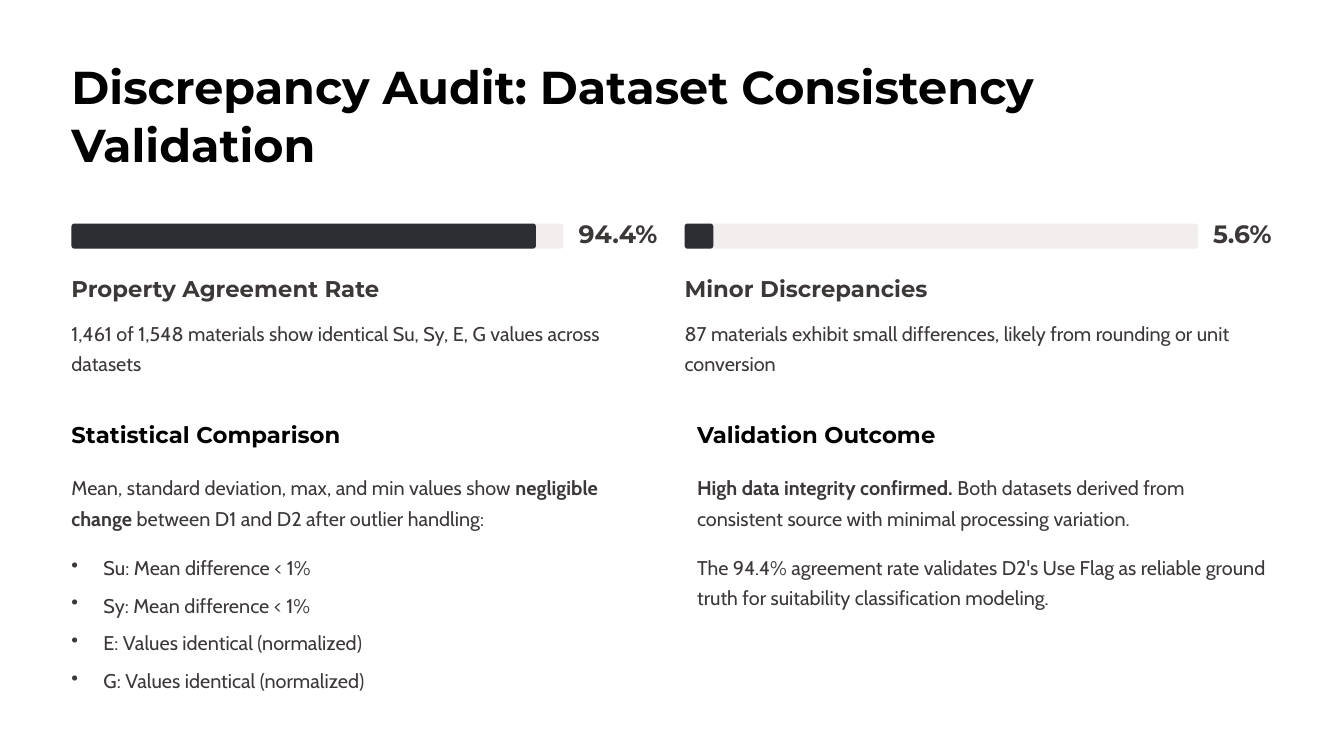
from dataclasses import dataclass

from lxml.etree import SubElement
from pptx import Presentation
from pptx.dml.color import RGBColor
from pptx.enum.shapes import MSO_SHAPE
from pptx.oxml.ns import qn
from pptx.slide import Slide
from pptx.util import Cm, Pt


@dataclass(frozen=True)
class TextStyle:
    font: str
    size: float
    line_spacing: float
    color: str
    bold: bool = False


@dataclass(frozen=True)
class Theme:
    background: str = "FFFFFF"
    track: str = "F2EEEE"
    bar: str = "2D2E34"
    title: TextStyle = TextStyle("Montserrat", 39.5, 49.5, "000000", True)
    percent: TextStyle = TextStyle("Montserrat", 21.5, 21.5, "3D3838", True)
    metric: TextStyle = TextStyle("Montserrat", 19.5, 24.5, "3D3838", True)
    section: TextStyle = TextStyle("Montserrat", 19.5, 24.5, "000000", True)
    body: TextStyle = TextStyle("Cabin", 17, 26, "3D3838")


@dataclass(frozen=True)
class Metric:
    left: float
    percent: float
    label_width: float
    heading: str
    heading_width: float
    description: str


@dataclass(frozen=True)
class Section:
    left: float
    heading: str
    heading_width: float
    introduction: str


THEME = Theme()

# Layout in centimetres
MARGIN = 2.16
METRIC_WIDTH = 17.78
SECTION_WIDTH = 17.4
BAR_TOP, BAR_HEIGHT, LABEL_GAP = 6.76, 0.76, 0.46
HEADING_HEIGHT, BODY_HEIGHT = 0.89, 1.85
SECTION_TOP, INTRODUCTION_TOP, DETAIL_TOP = 12.7, 14.2, 16.61
BULLET_INDENT = 0.97

METRICS = [
    Metric(MARGIN, 94.4, 2.44, "Property Agreement Rate", 9.45,
           "1,461 of 1,548 materials show identical Su, Sy, E, G values across datasets"),
    Metric(20.7, 5.6, 1.8, "Minor Discrepancies", 7.47,
           "87 materials exhibit small differences, likely from rounding or unit conversion"),
]

# Double asterisks enclose bold words
STATISTICS = Section(
    MARGIN, "Statistical Comparison", 8.26,
    "Mean, standard deviation, max, and min values show **negligible change** "
    "between D1 and D2 after outlier handling:")
OUTCOME = Section(
    21.08, "Validation Outcome", 7.34,
    "**High data integrity confirmed.** Both datasets derived from consistent source "
    "with minimal processing variation.")
DIFFERENCES = [
    "Su: Mean difference < 1%",
    "Sy: Mean difference < 1%",
    "E: Values identical (normalized)",
    "G: Values identical (normalized)",
]
CONCLUSION = ("The 94.4% agreement rate validates D2's Use Flag as reliable ground truth "
              "for suitability classification modeling.")


def add_text(slide: Slide, *texts: str, left: float, top: float, width: float,
             height: float, style: TextStyle, wrap: bool = True,
             bullets: bool = False, space_after: float = 0) -> None:
    """Add a text box with one paragraph for each text."""
    box = slide.shapes.add_textbox(Cm(left), Cm(top), Cm(width), Cm(height))
    frame = box.text_frame
    frame.word_wrap = wrap
    frame.margin_left = frame.margin_right = frame.margin_top = frame.margin_bottom = 0
    for index, text in enumerate(texts):
        paragraph = frame.add_paragraph() if index else frame.paragraphs[0]
        paragraph.line_spacing = Pt(style.line_spacing)
        paragraph.space_after = Pt(space_after)
        if bullets:
            properties = paragraph._p.get_or_add_pPr()
            properties.set("marL", str(Cm(BULLET_INDENT)))
            properties.set("indent", str(-Cm(BULLET_INDENT)))
            SubElement(properties, qn("a:buChar")).set("char", "•")
        for part, words in enumerate(text.split("**")):
            if not words:
                continue
            run = paragraph.add_run()
            run.text = words
            run.font.name = style.font
            run.font.size = Pt(style.size)
            run.font.bold = style.bold or part % 2 == 1
            run.font.color.rgb = RGBColor.from_string(style.color)


def add_bar(slide: Slide, left: float, width: float, color: str) -> None:
    shape = slide.shapes.add_shape(MSO_SHAPE.ROUNDED_RECTANGLE, Cm(left), Cm(BAR_TOP),
                                   Cm(width), Cm(BAR_HEIGHT))
    shape.adjustments[0] = 0.12
    shape.shadow.inherit = False
    shape.fill.solid()
    shape.fill.fore_color.rgb = RGBColor.from_string(color)
    shape.line.fill.background()


def add_metric(slide: Slide, metric: Metric) -> None:
    track_width = METRIC_WIDTH - LABEL_GAP - metric.label_width
    add_bar(slide, metric.left, track_width, THEME.track)
    add_bar(slide, metric.left, track_width * metric.percent / 100, THEME.bar)
    add_text(slide, f"{metric.percent}%", left=metric.left + track_width + LABEL_GAP,
             top=BAR_TOP, width=metric.label_width, height=BAR_HEIGHT,
             style=THEME.percent, wrap=False)
    add_text(slide, metric.heading, left=metric.left, top=8.28, width=metric.heading_width,
             height=HEADING_HEIGHT, style=THEME.metric, wrap=False)
    add_text(slide, metric.description, left=metric.left, top=9.53, width=METRIC_WIDTH,
             height=BODY_HEIGHT, style=THEME.body)


def add_section(slide: Slide, section: Section) -> None:
    add_text(slide, section.heading, left=section.left, top=SECTION_TOP,
             width=section.heading_width, height=HEADING_HEIGHT,
             style=THEME.section, wrap=False)
    add_text(slide, section.introduction, left=section.left, top=INTRODUCTION_TOP,
             width=SECTION_WIDTH, height=BODY_HEIGHT, style=THEME.body)


def main() -> None:
    presentation = Presentation()
    presentation.slide_width = Cm(40.64)
    presentation.slide_height = Cm(22.86)
    slide = presentation.slides.add_slide(presentation.slide_layouts[6])
    slide.background.fill.solid()
    slide.background.fill.fore_color.rgb = RGBColor.from_string(THEME.background)

    # Title
    add_text(slide, "Discrepancy Audit: Dataset Consistency Validation", left=MARGIN,
             top=1.7, width=36.32, height=3.51, style=THEME.title)

    # Progress bars
    for metric in METRICS:
        add_metric(slide, metric)

    # Statistical comparison
    add_section(slide, STATISTICS)
    add_text(slide, *DIFFERENCES, left=STATISTICS.left, top=DETAIL_TOP,
             width=SECTION_WIDTH, height=4.32, style=THEME.body,
             bullets=True, space_after=6.2)

    # Validation outcome
    add_section(slide, OUTCOME)
    add_text(slide, CONCLUSION, left=OUTCOME.left, top=DETAIL_TOP,
             width=SECTION_WIDTH, height=BODY_HEIGHT, style=THEME.body)

    presentation.save("out.pptx")


if __name__ == "__main__":
    main()
